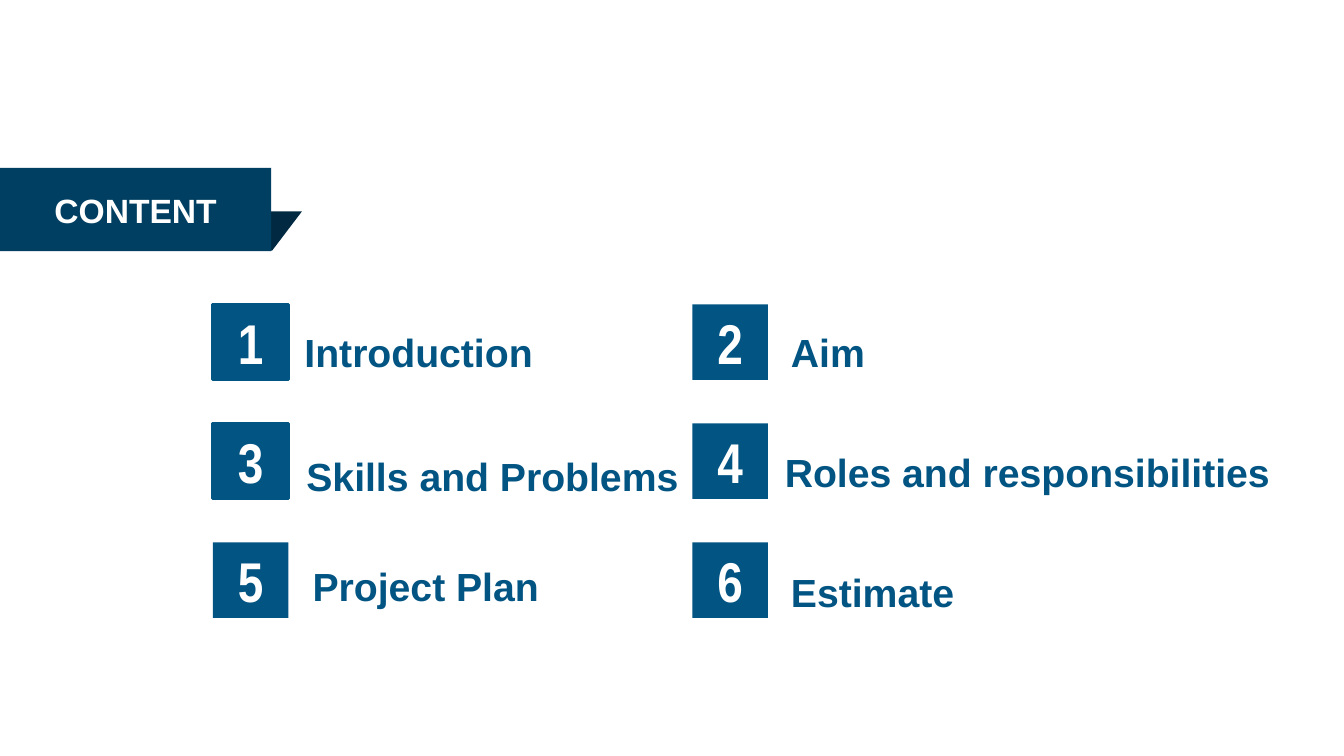
from dataclasses import dataclass
from pptx import Presentation
from pptx.dml.color import RGBColor
from pptx.enum.shapes import MSO_SHAPE
from pptx.enum.text import MSO_ANCHOR, MSO_AUTO_SIZE, PP_ALIGN
from pptx.util import Pt


@dataclass(frozen=True)
class Theme:
    """Colours, fonts and type sizes of the slide."""
    fold: RGBColor = RGBColor.from_string("012A42")
    banner: RGBColor = RGBColor.from_string("013F62")
    accent: RGBColor = RGBColor.from_string("025483")
    white: RGBColor = RGBColor.from_string("FFFFFF")
    text_font: str = "Arial"
    number_font: str = "Arial Narrow"
    title_size: int = 24
    label_size: int = 28
    number_size: int = 40


@dataclass(frozen=True)
class Topic:
    """A content entry; its label box is relative to its number square."""
    text: str
    left: float
    top: float
    width: float
    height: float
    outlined: bool = False
    wraps: bool = True


THEME = Theme()
SQUARE = 54
COLUMNS = 2
TOPICS = [
    Topic("Introduction", 54, 0, 203.8, 60.5, outlined=True),
    Topic("Aim", 59, 0, 260, 68.4),
    Topic("Skills and Problems", 59.8, 0, 283, 58.3, outlined=True, wraps=False),
    Topic("Roles and responsibilities", 59, -2.2, 365, 58.3, wraps=False),
    Topic("Project Plan", 59.8, -2.2, 203.8, 60.5),
    Topic("Estimate", 59, 1.4, 352, 53.3),
]


def set_font(para, name, size, color):
    """Format a paragraph as bold text."""
    font = para.font
    font.name, font.size, font.bold = name, Pt(size), True
    font.color.rgb = color


def add_filled(page, kind, box, color):
    """Add a preset shape with a plain fill and no line."""
    shape = page.shapes.add_shape(kind, *map(Pt, box))
    shape.shadow.inherit = False
    shape.fill.solid()
    shape.fill.fore_color.rgb = color
    shape.line.fill.background()
    return shape


def add_banner(page, left, top, width, height):
    """Place the title ribbon with its folded end behind it."""
    title = page.shapes.title
    title.left, title.top = Pt(left), Pt(top)
    title.width, title.height = Pt(width), Pt(height)
    title.fill.solid()
    title.fill.fore_color.rgb = THEME.banner
    frame = title.text_frame
    frame.text = "CONTENT"
    frame.auto_size = MSO_AUTO_SIZE.NONE
    frame.vertical_anchor = MSO_ANCHOR.MIDDLE
    para = frame.paragraphs[0]
    para.alignment = PP_ALIGN.CENTER
    set_font(para, THEME.text_font, THEME.title_size, THEME.white)

    fold_box = (left + 0.5, top + 31, width + 21.5, height - 31.5)
    fold = add_filled(page, MSO_SHAPE.PARALLELOGRAM, fold_box, THEME.fold)
    fold.adjustments[0] = 0.76
    title.element.addprevious(fold.element)


def add_number(page, left, top, number, outlined):
    """Place a numbered square."""
    square = add_filled(page, MSO_SHAPE.RECTANGLE, (left, top, SQUARE, SQUARE), THEME.accent)
    if outlined:
        square.line.color.rgb = THEME.accent
        square.line.width = Pt(2.25)
    frame = square.text_frame
    frame.text = str(number)
    frame.vertical_anchor = MSO_ANCHOR.MIDDLE
    para = frame.paragraphs[0]
    para.alignment = PP_ALIGN.CENTER
    set_font(para, THEME.number_font, THEME.number_size, THEME.white)


def add_label(page, left, top, topic):
    """Place a topic's label beside the square at the given corner."""
    box = (left + topic.left, top + topic.top, topic.width, topic.height)
    label = page.shapes.add_textbox(*map(Pt, box))
    frame = label.text_frame
    frame.word_wrap = topic.wraps
    if topic.wraps:
        frame.margin_left = frame.margin_right = Pt(11.5)
        frame.margin_top = frame.margin_bottom = Pt(0)
    else:
        frame.auto_size = MSO_AUTO_SIZE.SHAPE_TO_FIT_TEXT
    frame.text = topic.text
    para = frame.paragraphs[0]
    para.line_spacing = 1.5
    set_font(para, THEME.text_font, THEME.label_size, THEME.accent)


def add_topics(page, left, top, column_pitch, row_pitch):
    """Lay the numbered topics out in a grid, row by row."""
    for index, topic in enumerate(TOPICS):
        row, column = divmod(index, COLUMNS)
        corner = (left + column * column_pitch, top + row * row_pitch)
        add_number(page, *corner, index + 1, topic.outlined)
        add_label(page, *corner, topic)


def main():
    """Build and save the content slide."""
    deck = Presentation()
    deck.slide_width, deck.slide_height = Pt(960), Pt(540)
    page = deck.slides.add_slide(deck.slide_layouts[5])
    add_banner(page, 0, 120, 193.7, 59.5)
    add_topics(page, 152, 217.4, 342.5, 85)
    deck.save("out.pptx")


if __name__ == "__main__":
    main()
